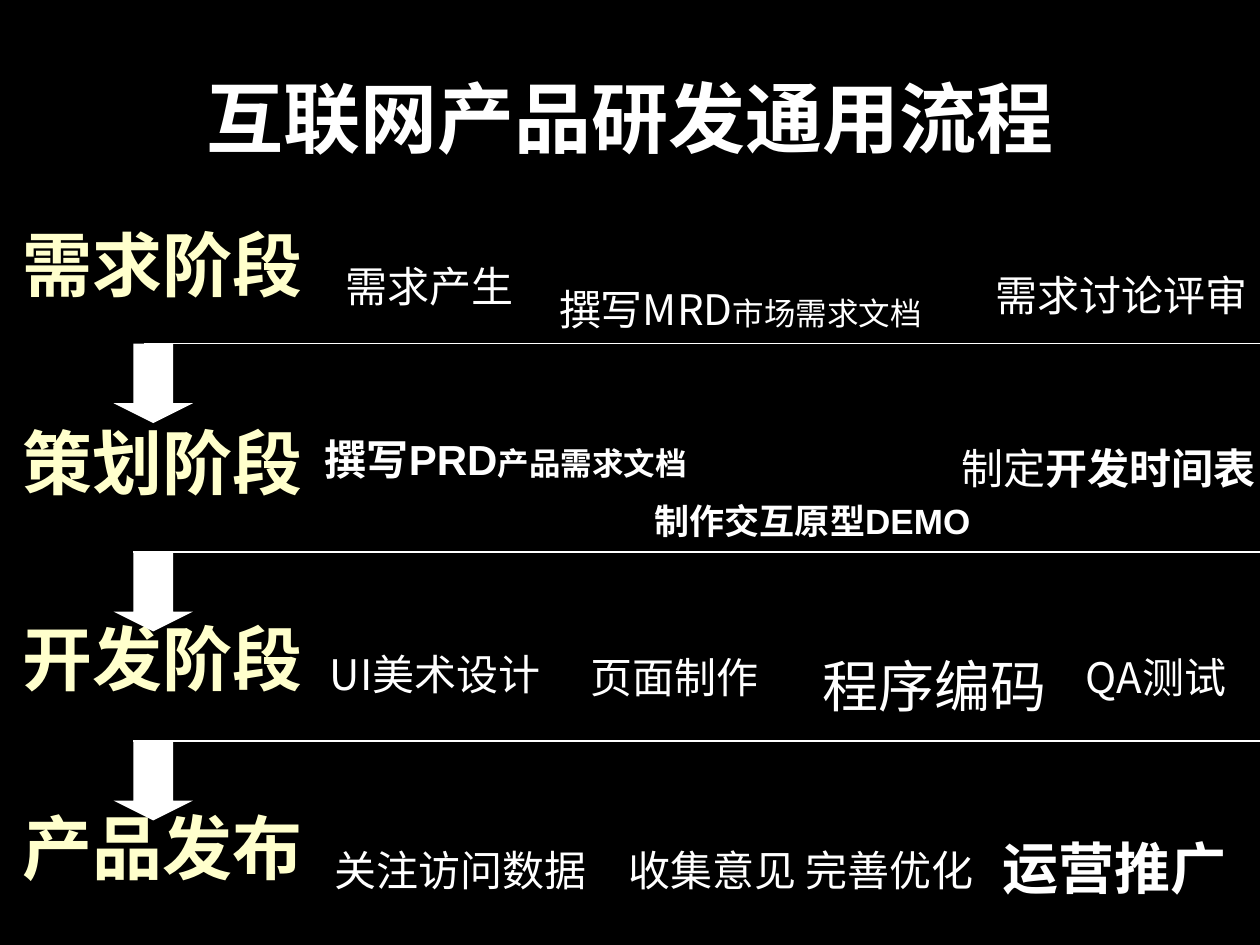
from dataclasses import dataclass

import lxml.etree
import pptx
import pptx.dml.color
import pptx.enum.shapes
import pptx.enum.text
import pptx.oxml.ns
import pptx.util
from pptx.util import Cm

WHITE = "FFFFFF"
CREAM = "FFFFCC"
ARIAL = "Arial"
NOTO = "Noto Sans CJK SC"


@dataclass(frozen=True)
class Span:
    text: str
    size: int = 24
    bold: bool = False
    font: str = ARIAL
    colour: str = WHITE


@dataclass(frozen=True)
class Label:
    left: float
    top: float
    width: float
    height: float
    spans: tuple[Span, ...]
    padded: bool = False


@dataclass(frozen=True)
class Divider:
    top: float
    line_left: float


STAGES = [("需求阶段", 4.47), ("策划阶段", 8.46), ("开发阶段", 12.4), ("产品发布", 16.21)]

TASKS = [
    Label(6.71, 5.13, 3.89, 1.27, (Span("需求产生"),), padded=True),
    Label(11.02, 5.72, 7.98, 1.02,
          (Span("撰写MRD", font=NOTO), Span("市场需求文档", 18, font=NOTO))),
    Label(19.81, 5.31, 5.59, 1.27, (Span("需求讨论评审"),), padded=True),
    Label(6.3, 8.74, 7.95, 1.02,
          (Span("撰写PRD", bold=True), Span("产品需求文档", 18, True))),
    Label(12.95, 9.93, 7.04, 1.12, (Span("制作交互原型DEMO", 20, True),), padded=True),
    Label(19.13, 8.92, 6.25, 1.02, (Span("制定"), Span("开发时间表", bold=True))),
    Label(6.4, 13.08, 4.7, 1.02, (Span("UI美术设计", font=NOTO),)),
    Label(11.66, 13.13, 3.7, 1.02, (Span("页面制作", font=NOTO),)),
    Label(16.33, 13.13, 4.78, 1.35, (Span("程序编码", 32),)),
    Label(21.64, 13.13, 3.3, 1.02, (Span("QA测试", font=NOTO),)),
    Label(6.5, 17.02, 5.33, 1.02, (Span("关注访问数据", font=NOTO),)),
    Label(12.42, 17.02, 7.29, 1.02, (Span("收集意见 完善优化", font=NOTO),)),
    Label(19.96, 16.81, 4.78, 1.35, (Span("运营推广", 32, True),)),
]

DIVIDERS = [Divider(6.93, 2.9), Divider(11.13, 2.69), Divider(14.94, 2.69)]
LINE_LENGTH = 26.11
ARROW_LEFT = 2.29
ARROW_SIZE = 1.6


def paint(colour_owner, colour: str) -> None:
    colour_owner.solid()
    colour_owner.fore_color.rgb = pptx.dml.color.RGBColor.from_string(colour)


def add_span(para, span: Span) -> None:
    run = para.add_run()
    run.text = span.text
    run.font.size = pptx.util.Pt(span.size)
    run.font.bold = span.bold
    paint(run.font.fill, span.colour)
    run.font.name = span.font
    east_asian = lxml.etree.SubElement(run.font._element, pptx.oxml.ns.qn("a:ea"))
    east_asian.set("typeface", NOTO)


def add_label(page, label: Label) -> None:
    box = page.shapes.add_textbox(
        Cm(label.left), Cm(label.top), Cm(label.width), Cm(label.height))
    frame = box.text_frame
    frame.word_wrap = False
    frame.auto_size = pptx.enum.text.MSO_AUTO_SIZE.SHAPE_TO_FIT_TEXT
    frame.vertical_anchor = pptx.enum.text.MSO_ANCHOR.MIDDLE
    frame.margin_left = Cm(0.25)
    frame.margin_right = Cm(0.25 if label.padded else 0)
    frame.margin_top = frame.margin_bottom = Cm(0.13 if label.padded else 0)
    for span in label.spans:
        add_span(frame.paragraphs[0], span)


def add_title(page, text: str) -> None:
    title = page.shapes.title
    title.left, title.top = Cm(1.27), Cm(0.76)
    title.width, title.height = Cm(22.86), Cm(3.18)
    title.text_frame.vertical_anchor = pptx.enum.text.MSO_ANCHOR.MIDDLE
    para = title.text_frame.paragraphs[0]
    para.alignment = pptx.enum.text.PP_ALIGN.CENTER
    add_span(para, Span(text, 44, True))


def add_arrow(page, divider: Divider) -> None:
    arrow = page.shapes.add_shape(
        pptx.enum.shapes.MSO_SHAPE.DOWN_ARROW,
        Cm(ARROW_LEFT), Cm(divider.top), Cm(ARROW_SIZE), Cm(ARROW_SIZE))
    arrow.adjustments[0] = 0.5
    arrow.adjustments[1] = 0.25
    arrow.shadow.inherit = False
    paint(arrow.fill, WHITE)
    arrow.line.fill.background()


def add_line(page, divider: Divider) -> None:
    line = page.shapes.add_connector(
        pptx.enum.shapes.MSO_CONNECTOR.STRAIGHT,
        Cm(divider.line_left), Cm(divider.top),
        Cm(divider.line_left + LINE_LENGTH), Cm(divider.top))
    line.line.width = pptx.util.Pt(0.75)
    paint(line.line.fill, WHITE)
    lxml.etree.SubElement(line._element.spPr, pptx.oxml.ns.qn("a:effectLst"))


def main() -> None:
    deck = pptx.Presentation()
    deck.slide_width, deck.slide_height = Cm(25.4), Cm(19.05)
    page = deck.slides.add_slide(deck.slide_layouts[5])
    paint(page.background.fill, "000000")
    add_title(page, "互联网产品研发通用流程")
    for name, top in STAGES:
        add_label(page, Label(0.2, top, 5.89, 1.69, (Span(name, 40, True, colour=CREAM),)))
    for task in TASKS:
        add_label(page, task)
    for divider in DIVIDERS:
        add_arrow(page, divider)
        add_line(page, divider)
    deck.save("out.pptx")


if __name__ == "__main__":
    main()
